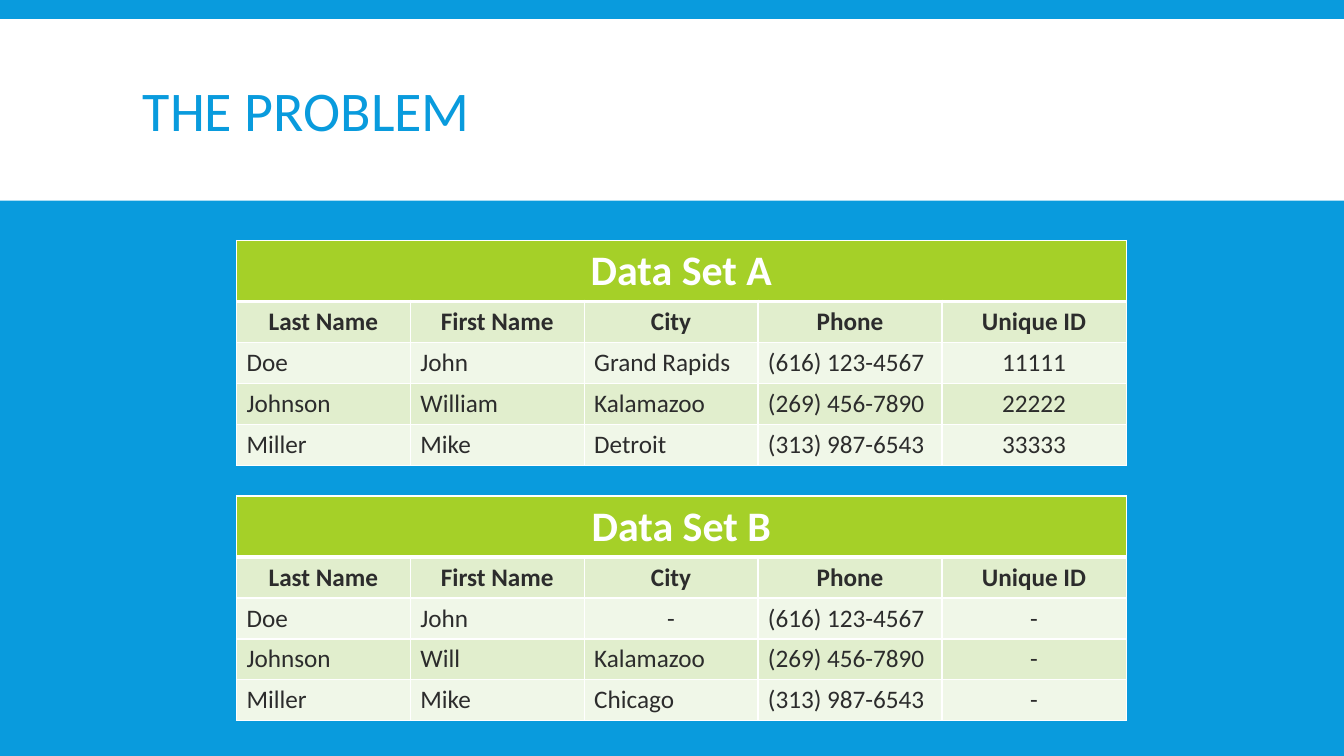
from dataclasses import dataclass

from lxml.etree import SubElement
from pptx import Presentation
from pptx.dml.color import RGBColor as RGB
from pptx.enum.shapes import MSO_SHAPE as SHAPE
from pptx.enum.text import MSO_ANCHOR as ANCHOR, PP_ALIGN as ALIGN
from pptx.oxml.ns import qn
from pptx.util import Cm, Pt

TITLE = "THE PROBLEM"
HEADERS = ["Last Name", "First Name", "City", "Phone", "Unique ID"]
DATA_SETS = [
    ("Data Set A", [
        ["Doe", "John", "Grand Rapids", "(616) 123-4567", "11111"],
        ["Johnson", "William", "Kalamazoo", "(269) 456-7890", "22222"],
        ["Miller", "Mike", "Detroit", "(313) 987-6543", "33333"],
    ]),
    ("Data Set B", [
        ["Doe", "John", "-", "(616) 123-4567", "-"],
        ["Johnson", "Will", "Kalamazoo", "(269) 456-7890", "-"],
        ["Miller", "Mike", "Chicago", "(313) 987-6543", "-"],
    ]),
]


@dataclass(frozen=True)
class Theme:
    font: str = "Calibri"
    blue: str = "099BDD"
    white: str = "FFFFFF"
    green: str = "A5D028"
    dark: str = "2C2C2C"
    bands: tuple = ("F0F7E8", "E1EECD")
    title_size: int = 40
    caption_size: int = 30
    cell_size: int = 18
    thin: int = 1
    thick: int = 3


THEME = Theme()
SLIDE_W, SLIDE_H = 33.87, 19.05
BAND_TOP, BAND_H = 0.48, 4.58
TABLE_LEFT, TABLE_TOP, TABLE_STEP = 5.96, 6.06, 6.44
COL_WIDTHS = [4.38, 4.38, 4.38, 4.64, 4.64]
CAPTION_H, ROW_H = 1.54, 1.03


def style_runs(p, size, color, bold=False):
    for r in p.runs:
        r.font.name = THEME.font
        r.font.size = Pt(size)
        r.font.bold = bold
        r.font.color.rgb = RGB.from_string(color)


def set_borders(cell, top, bottom):
    tc_pr = cell._tc.get_or_add_tcPr()
    widths = {"L": THEME.thin, "R": THEME.thin, "T": top, "B": bottom}
    for side, width in widths.items():
        ln = SubElement(tc_pr, qn(f"a:ln{side}"), w=str(Pt(width)))
        fill = SubElement(ln, qn("a:solidFill"))
        SubElement(fill, qn("a:srgbClr"), val=THEME.white)


def fill_cell(cell, text, size, color, fill, bold, align):
    cell.fill.solid()
    cell.fill.fore_color.rgb = RGB.from_string(fill)
    cell.text_frame.text = text
    p = cell.text_frame.paragraphs[0]
    p.alignment = align
    style_runs(p, size, color, bold)


def add_data_set(slide, top, caption, records):
    rows = [[caption] + [""] * (len(HEADERS) - 1), HEADERS] + records
    heights = [CAPTION_H] + [ROW_H] * (len(rows) - 1)
    table = slide.shapes.add_table(
        len(rows), len(HEADERS), Cm(TABLE_LEFT), Cm(top),
        Cm(sum(COL_WIDTHS)), Cm(sum(heights))).table
    for col, width in zip(table.columns, COL_WIDTHS):
        col.width = Cm(width)
    for row, height in zip(table.rows, heights):
        row.height = Cm(height)
    table.cell(0, 0).merge(table.cell(0, len(HEADERS) - 1))

    for i, row in enumerate(rows):
        is_caption = i == 0
        size = THEME.caption_size if is_caption else THEME.cell_size
        color = THEME.white if is_caption else THEME.dark
        fill = THEME.green if is_caption else THEME.bands[i % 2]
        for j, text in enumerate(row):
            cell = table.cell(i, j)
            set_borders(cell, THEME.thick if i == 1 else THEME.thin,
                        THEME.thick if is_caption else THEME.thin)
            centred = i < 2 or j == len(HEADERS) - 1 or text == "-"
            fill_cell(cell, text, size, color, fill, i < 2,
                      ALIGN.CENTER if centred else ALIGN.LEFT)


def add_title(slide):
    sp = slide.shapes.add_shape(SHAPE.RECTANGLE, 0, Cm(BAND_TOP),
                                Cm(SLIDE_W), Cm(BAND_H))
    sp.shadow.inherit = False
    sp.fill.solid()
    sp.fill.fore_color.rgb = RGB.from_string(THEME.white)
    sp.line.fill.background()

    tf = slide.shapes.add_textbox(Cm(3.35), Cm(0.79), Cm(27.18), Cm(4.19)).text_frame
    tf.word_wrap = True
    tf.vertical_anchor = ANCHOR.MIDDLE
    tf.text = TITLE
    p = tf.paragraphs[0]
    p.line_spacing = 0.85
    style_runs(p, THEME.title_size, THEME.blue)


def main():
    prs = Presentation()
    prs.slide_width, prs.slide_height = Cm(SLIDE_W), Cm(SLIDE_H)
    slide = prs.slides.add_slide(prs.slide_layouts[6])
    slide.background.fill.solid()
    slide.background.fill.fore_color.rgb = RGB.from_string(THEME.blue)
    add_title(slide)
    for i, (caption, records) in enumerate(DATA_SETS):
        add_data_set(slide, TABLE_TOP + i * TABLE_STEP, caption, records)
    prs.save("out.pptx")


if __name__ == "__main__":
    main()
